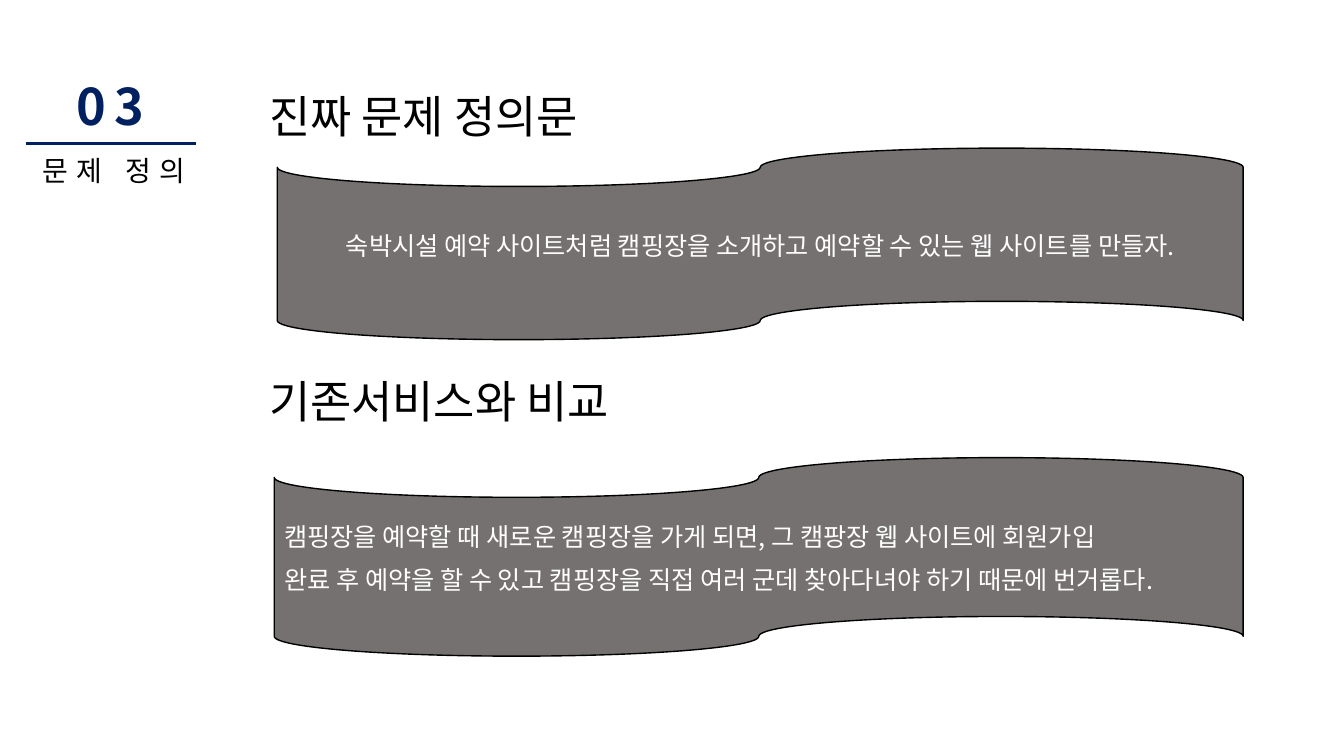
from lxml import etree
from pptx import Presentation
from pptx import util as u
from pptx.dml.color import RGBColor
from pptx.enum import shapes, text
from pptx.oxml.ns import qn

FONT = "Noto Sans CJK KR"
NAVY, BLACK, WHITE, GRAY = "002060", "000000", "FFFFFF", "767171"
ALIGN = text.PP_ALIGN


def rgb(code):
    return RGBColor.from_string(code)


def write(frame, *lines, size, color=BLACK, bold=False, align=ALIGN.LEFT,
          track=0, lead=None, after=None):
    """Fill a text frame, one paragraph a line; track is letter spacing in points."""
    for i, line in enumerate(lines):
        para = frame.add_paragraph() if i else frame.paragraphs[0]
        para.alignment = align
        para.line_spacing = lead
        para.space_after = after
        run = para.add_run()
        run.text = line
        font = run.font
        font.name, font.size, font.bold = FONT, u.Pt(size), bold
        font.color.rgb = rgb(color)
        props = font._element
        etree.SubElement(props, qn("a:ea")).set("typeface", FONT)
        if track:
            props.set("spc", str(track * 100))


def label(slide, box, words, wrap=True, **style):
    frame = slide.shapes.add_textbox(*map(u.Inches, box)).text_frame
    frame.word_wrap = wrap
    frame.auto_size = text.MSO_AUTO_SIZE.SHAPE_TO_FIT_TEXT
    write(frame, words, **style)


def rule(slide, left, right, top):
    line = slide.shapes.add_connector(
        shapes.MSO_CONNECTOR.STRAIGHT, u.Inches(left), u.Inches(top),
        u.Inches(right), u.Inches(top))
    line.line.color.rgb = rgb(NAVY)
    line.line.width = u.Pt(2)
    etree.SubElement(line._element.spPr, qn("a:effectLst"))


def banner(slide, box, *lines, align):
    tape = slide.shapes.add_shape(
        shapes.MSO_SHAPE.FLOWCHART_PUNCHED_TAPE, *map(u.Inches, box))
    tape.shadow.inherit = False
    tape.fill.solid()
    tape.fill.fore_color.rgb = rgb(GRAY)
    tape.line.color.rgb = rgb(BLACK)
    tape.line.width = u.Pt(1)
    frame = tape.text_frame
    frame.word_wrap = True
    frame.vertical_anchor = text.MSO_ANCHOR.MIDDLE
    write(frame, *lines, size=18, color=WHITE, align=align,
          lead=1.07, after=u.Pt(8))


def main():
    deck = Presentation()
    deck.slide_width, deck.slide_height = u.Inches(13.33), u.Inches(7.5)
    slide = deck.slides.add_slide(deck.slide_layouts[6])

    label(slide, (0.66, 0.7, 1.02, 0.71), "03", wrap=False,
          size=36, color=NAVY, bold=True, track=6)
    rule(slide, 0.26, 1.94, 1.42)
    label(slide, (0.21, 1.47, 1.84, 0.44), "문제 정의", wrap=False,
          size=20, align=ALIGN.CENTER, track=6)

    label(slide, (2.57, 0.83, 3.94, 0.64), "진짜 문제 정의문", size=32)
    label(slide, (2.57, 3.66, 4.3, 0.64), "기존서비스와 비교", size=32)

    banner(slide, (2.75, 1.47, 9.58, 1.9),
           "숙박시설 예약 사이트처럼 캠핑장을 소개하고 예약할 수 있는 웹 사이트를 만들자.",
           align=ALIGN.CENTER)
    banner(slide, (2.72, 4.54, 9.61, 1.97),
           "캠핑장을 예약할 때 새로운 캠핑장을 가게 되면, 그 캠팡장 웹 사이트에 회원가입 ",
           "완료 후 예약을 할 수 있고 캠핑장을 직접 여러 군데 찾아다녀야 하기 때문에 번거롭다.",
           align=ALIGN.JUSTIFY)

    deck.save("out.pptx")


if __name__ == "__main__":
    main()
